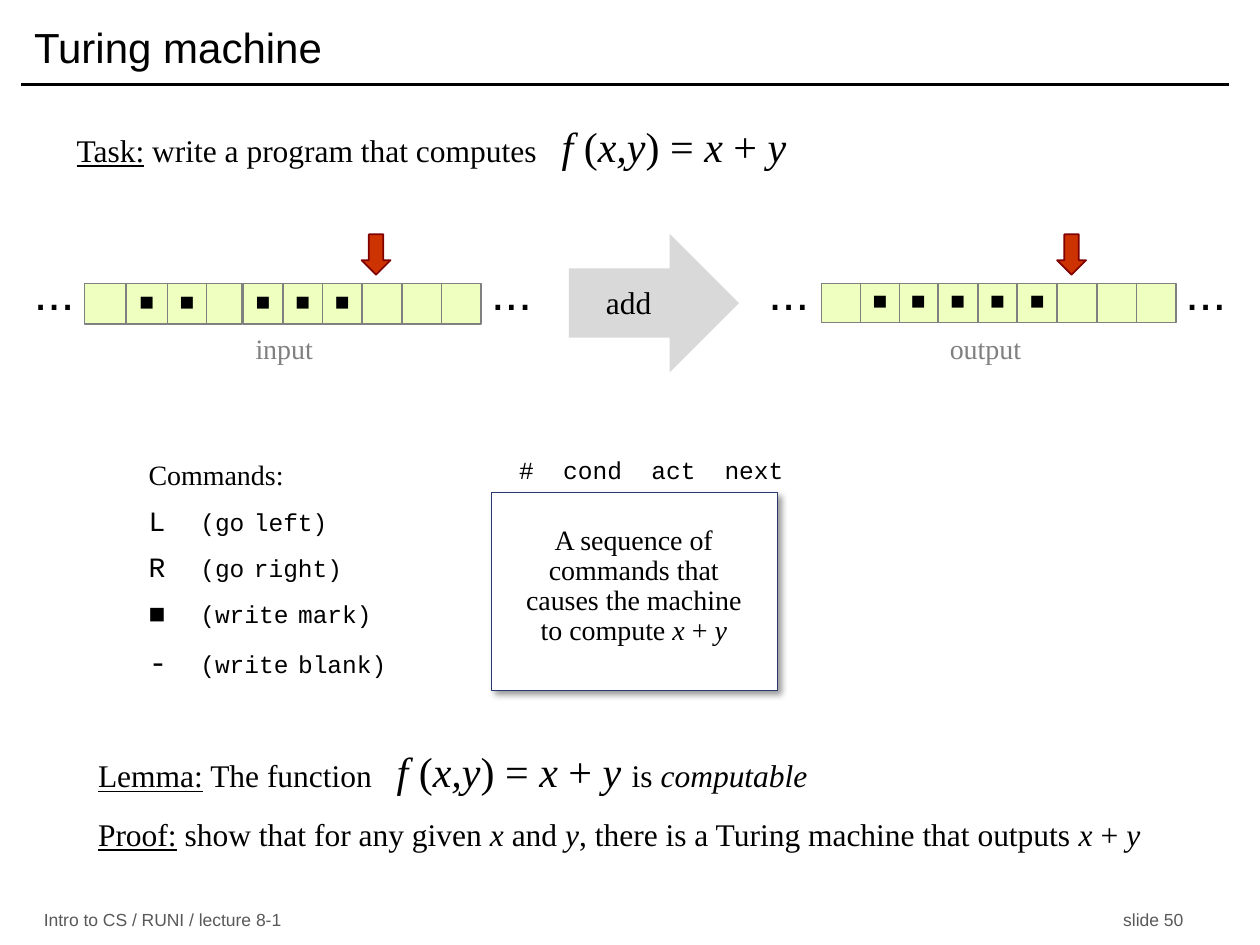
from lxml import etree
from pptx import Presentation
from pptx.dml.color import RGBColor
from pptx.enum.shapes import MSO_CONNECTOR, MSO_SHAPE as SHAPE
from pptx.enum.text import MSO_ANCHOR as ANCHOR, MSO_AUTO_SIZE, PP_ALIGN as ALIGN
from pptx.oxml import parse_xml
from pptx.oxml.ns import nsdecls, qn
from pptx.util import Inches, Pt

BLACK, WHITE = RGBColor(0, 0, 0), RGBColor(255, 255, 255)
GRAY, DARK_GRAY = RGBColor(0x80, 0x80, 0x80), RGBColor(0x59, 0x59, 0x59)
PALE_GRAY, CELL = RGBColor(0xD9, 0xD9, 0xD9), RGBColor(0xEE, 0xFF, 0xBF)
RED, DARK_RED = RGBColor(0xCC, 0x33, 0x00), RGBColor(0x80, 0, 0)
NAVY = RGBColor(0x29, 0x39, 0x73)
SANS, SERIF, MONO = "Arial", "Times New Roman", "Courier New"

# Run formats
SMALL = dict(name=SANS, size=Pt(10))
HEAD = dict(name=SANS, size=Pt(24))
BODY = dict(name=SERIF, size=Pt(18))
BODY_I = dict(BODY, italic=True)
LABEL = dict(BODY, underline=True)
MATH = dict(name=SERIF, size=Pt(24))
MATH_I = dict(MATH, italic=True)
NOTE = dict(name=SERIF, size=Pt(16))
NOTE_I = dict(NOTE, italic=True)
CODE = dict(name=MONO, size=Pt(14))
CODE_GAP = dict(name="Comic Neue", size=Pt(16))
MARK = dict(name=SANS, size=Pt(14))
DOTS = dict(name=SANS, size=Pt(28))

# Content: a paragraph is a list of (text, format) runs
TITLE = "Turing machine"
FOOTER = [("Intro to CS / RUNI / lecture 8-1", ALIGN.LEFT, 0.25),
          ("slide 50", ALIGN.RIGHT, 5.49)]
FORMULA = [("f", MATH_I), (" (", MATH), ("x,y", MATH_I), (") = ", MATH),
           ("x ", MATH_I), ("+ ", MATH), ("y", MATH_I)]
SUM = [("x ", BODY_I), ("+ ", BODY), ("y", BODY_I)]
TASK = [("Task:", LABEL), (" write a program that computes\t", BODY), *FORMULA]
LEMMA = [("Lemma:", LABEL), (" The function\t", BODY), *FORMULA,
         (" ", MATH), ("is ", BODY), ("computable", BODY_I)]
PROOF = [("Proof:", LABEL), (" show that for any given ", BODY), ("x", BODY_I),
         (" and ", BODY), ("y", BODY_I),
         (", there is a Turing machine that outputs ", BODY), *SUM]
COMMANDS = [  # symbol, font, size, meaning
    ("L", MONO, 16, "(go", "left)"),
    ("R", MONO, 16, "(go", "right)"),
    ("■", SANS, 16, "(write", "mark)"),
    ("-", MONO, 18, "(write", "blank)"),
]
COLUMNS = [("#", 4.12), ("cond", 4.47), ("act", 5.17), ("next", 5.75)]
PROGRAM = [("A sequence of commands that causes the machine to compute ", NOTE),
           ("x", NOTE_I), (" + ", NOTE), ("y", NOTE_I)]

# Tapes: uniform cells by pitch, odd cells as (left, width, mark)
CELL_TOP = 2.25
TAPES = [
    dict(left=1.93, pitch=0.315, height=0.32, marks="■■■   ", dots=(0.27, 3.9),
         head=2.87, name="input", name_left=1.93,
         odd=[(0.67, 0.33, ""), (1.61, 0.31, ""), (1.33, 0.31, "■"), (1, 0.33, "■")]),
    dict(left=7.13, pitch=0.315, height=0.31, marks="■■■■   ", dots=(6.1, 9.41),
         head=8.39, name="output", name_left=7.44,
         odd=[(6.52, 0.31, ""), (6.83, 0.31, "■")]),
]

prs = Presentation()
prs.slide_width, prs.slide_height = Inches(10), Inches(7.5)
s = prs.slides.add_slide(prs.slide_layouts[1])


def place(sp, box):
    sp.left, sp.top, sp.width, sp.height = map(Inches, box)


def write(sp, paras, color=BLACK, align=ALIGN.LEFT, anchor=ANCHOR.TOP, wrap=True,
          insets=(0.1, 0.05, 0.1, 0.05), before=0, spacing=1.0, hang=0):
    """Fill a shape; a tab in a paragraph jumps to its hanging indent."""
    tf = sp.text_frame
    tf.auto_size = MSO_AUTO_SIZE.NONE
    tf.word_wrap, tf.vertical_anchor = wrap, anchor
    (tf.margin_left, tf.margin_top,
     tf.margin_right, tf.margin_bottom) = map(Inches, insets)
    for i, runs in enumerate(paras):
        p = tf.paragraphs[0] if i == 0 else tf.add_paragraph()
        pPr = p._p.get_or_add_pPr()
        indent = Inches(hang) if any("\t" in text for text, _ in runs) else 0
        pPr.set("marL", str(int(indent)))
        pPr.set("indent", str(-int(indent)))
        p.alignment, p.line_spacing = align, spacing
        p.space_before, p.space_after = Pt(before if i else 0), Pt(0)
        if sp.is_placeholder:
            etree.SubElement(pPr, qn("a:buNone"))
        for text, fmt in runs:
            r = p.add_run()
            r.text = text
            r.font.color.rgb = color
            for key, value in fmt.items():
                setattr(r.font, key, value)


def add_text(box, paras, **kw):
    write(s.shapes.add_textbox(*map(Inches, box)), paras, **kw)


def add_shape(kind, box, fill, line=None, width=1):
    sp = s.shapes.add_shape(kind, *map(Inches, box))
    sp.shadow.inherit = False
    sp.fill.solid()
    sp.fill.fore_color.rgb = fill
    if line is None:
        sp.line.fill.background()
    else:
        sp.line.color.rgb, sp.line.width = line, Pt(width)
    return sp


CENTERED = dict(align=ALIGN.CENTER, anchor=ANCHOR.MIDDLE, wrap=False,
                insets=(0.1, 0, 0.1, 0.05))


def add_cell(left, width, height, mark):
    sp = add_shape(SHAPE.RECTANGLE, (left, CELL_TOP, width, height), CELL, GRAY)
    if mark.strip():
        write(sp, [[(mark, MARK)]], **CENTERED)


def add_tape(t):
    for left in t["dots"]:
        add_text((left, 2.18, 0.32, 0.31), [[("...", DOTS)]], **CENTERED)
    for i, mark in enumerate(t["marks"]):
        add_cell(t["left"] + i * t["pitch"], t["pitch"], t["height"], mark)
    for left, width, mark in t["odd"]:
        add_cell(left, width, t["height"], mark)
    add_shape(SHAPE.DOWN_ARROW, (t["head"], 1.86, 0.23, 0.32), RED, DARK_RED)
    add_text((t["name_left"], 2.58, 0.87, 0.55), [[(t["name"], NOTE)]], color=GRAY)


# Title, rule and footer
rule = s.shapes.add_connector(MSO_CONNECTOR.STRAIGHT, Inches(0.17), Inches(0.67),
                              Inches(9.75), Inches(0.67))
rule.line.color.rgb, rule.line.width = BLACK, Pt(2)
etree.SubElement(rule._element.spPr, qn("a:effectLst"))
place(s.shapes.title, (0.17, 0.08, 9.58, 0.58))
write(s.shapes.title, [[(TITLE, HEAD)]], anchor=ANCHOR.MIDDLE)
for text, align, left in FOOTER:
    add_text((left, 7.19, 4, 0.22), [[(text, SMALL)]], color=DARK_GRAY,
             align=align, anchor=ANCHOR.MIDDLE)

# Task, lemma and proof
add_text((0.51, 0.91, 8.74, 0.63), [TASK], hang=3.85)
add_text((0.68, 5.87, 8.74, 1.42), [LEMMA, PROOF], before=10.8, hang=2.37)

# Tapes with the add arrow between them
for tape in TAPES:
    add_tape(tape)
arrow = add_shape(SHAPE.DOWN_ARROW, (4.64, 1.73, 1.1, 1.35), PALE_GRAY)
arrow.rotation = 270
add_text((4.58, 2.2, 1.34, 0.39), [[("add", BODY)]], insets=(0.23, 0.05, 0.1, 0.05))

# Command list
commands = s.placeholders[1]
place(commands, (1.08, 3.58, 2.3, 1.99))
rows = [[(symbol + "\t", dict(name=font, size=Pt(size))),
         (verb, CODE), (" ", CODE_GAP), (noun, CODE)]
        for symbol, font, size, verb, noun in COMMANDS]
write(commands, [[("Commands:", NOTE)], *rows], before=7.2, hang=0.41)

# Program panel
for text, left in COLUMNS:
    add_text((left, 3.59, 0.55, 0.32), [[(text, CODE)]], insets=(0, 0.05, 0, 0.05),
             spacing=0.9)
panel = add_shape(SHAPE.RECTANGLE, (3.9, 3.91, 2.27, 1.57), WHITE, NAVY, 0.75)
panel._element.spPr.find(qn("a:effectLst")).append(parse_xml(
    f'<a:outerShdw {nsdecls("a")} blurRad="{Pt(4)}" dist="{Pt(3)}" dir="2700000">'
    '<a:srgbClr val="000000"><a:alpha val="40000"/></a:srgbClr></a:outerShdw>'))
write(add_shape(SHAPE.RECTANGLE, (4.05, 4.03, 1.92, 1.25), WHITE), [PROGRAM],
      align=ALIGN.CENTER, anchor=ANCHOR.MIDDLE, insets=(0.04, 0, 0, 0), spacing=0.9)

prs.save("out.pptx")
